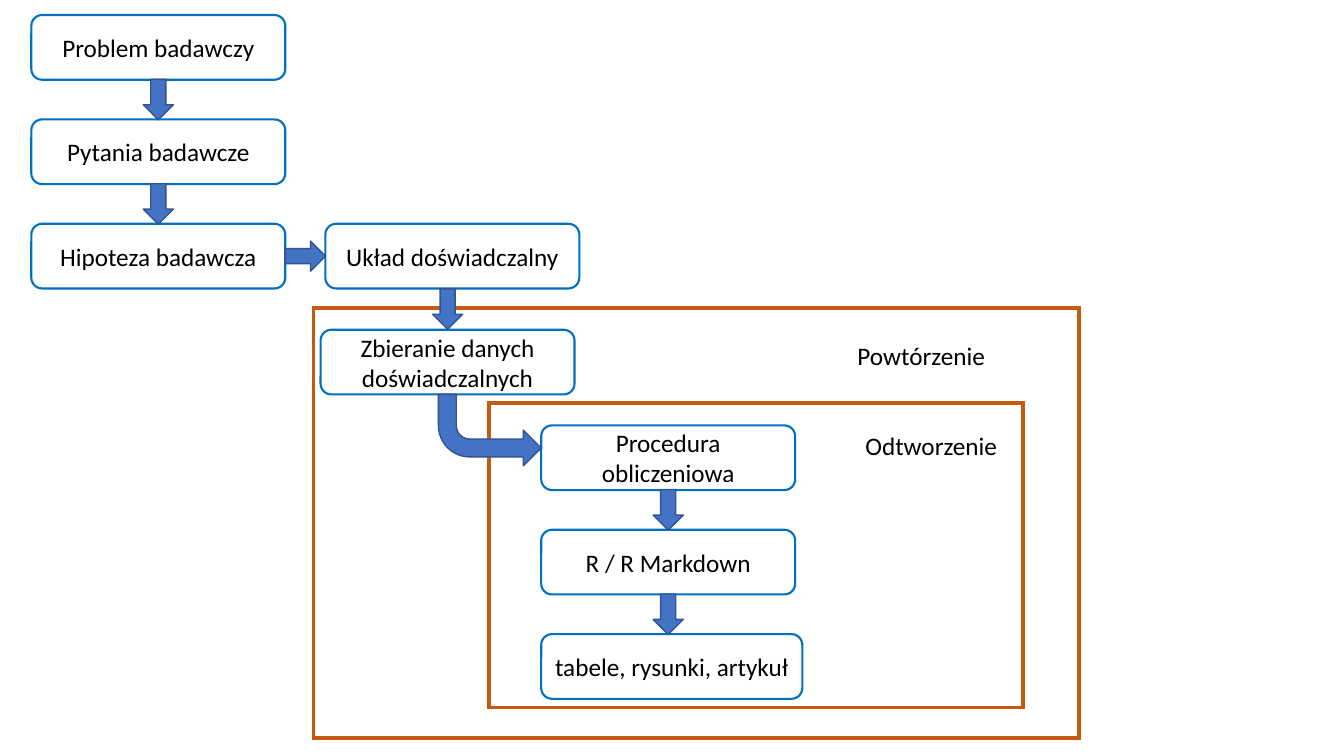
from dataclasses import dataclass

from lxml.etree import SubElement
from pptx import Presentation
from pptx.dml.color import RGBColor
from pptx.enum.shapes import MSO_SHAPE as Shape
from pptx.enum.text import MSO_ANCHOR as Anchor, MSO_AUTO_SIZE as AutoSize, PP_ALIGN as Align
from pptx.oxml.ns import qn
from pptx.util import Cm, Pt

BOX_W, BOX_H = 6.4, 1.63
STEP = 2.63
ARROW_W, ARROW_H = 1.02, 0.76
WHITE, BLACK = "FFFFFF", "000000"
BOX_LINE, FRAME_LINE = "0070C0", "C55A11"
ARROW_FILL, ARROW_LINE = "4472C4", "325491"


@dataclass(frozen=True)
class Step:
    text: str
    left: float
    top: float
    width: float = BOX_W


@dataclass(frozen=True)
class Frame:
    left: float
    top: float
    width: float
    height: float


@dataclass(frozen=True)
class Label:
    text: str
    left: float
    top: float
    width: float


def column(texts: list[str], left: float, top: float) -> list[Step]:
    return [Step(text, left, top + i * STEP) for i, text in enumerate(texts)]


def color(value: str) -> RGBColor:
    return RGBColor.from_string(value)


def format_text(tf) -> None:
    for r in tf.paragraphs[0].runs:
        r.font.name = "Calibri"
        r.font.size = Pt(18)
        r.font.color.rgb = color(BLACK)


def add_preset(s, kind, left: float, top: float, width: float, height: float,
               fill: str, line: str, weight: float):
    sp = s.shapes.add_shape(kind, Cm(left), Cm(top), Cm(width), Cm(height))
    sp.shadow.inherit = False
    sp.fill.solid()
    sp.fill.fore_color.rgb = color(fill)
    sp.line.color.rgb = color(line)
    sp.line.width = Pt(weight)
    return sp


def add_frame(s, frame: Frame) -> None:
    table = s.shapes.add_table(1, 1, Cm(frame.left), Cm(frame.top),
                               Cm(frame.width), Cm(frame.height)).table
    table.first_row = False
    table.horz_banding = False
    cell = table.cell(0, 0)
    tc_pr = cell._tc.get_or_add_tcPr()
    for side in ("a:lnL", "a:lnR", "a:lnT", "a:lnB"):
        ln = SubElement(tc_pr, qn(side), w=str(Pt(3)))
        SubElement(SubElement(ln, qn("a:solidFill")), qn("a:srgbClr"), val=FRAME_LINE)
    cell.fill.background()


def add_step(s, step: Step) -> None:
    sp = add_preset(s, Shape.ROUNDED_RECTANGLE, step.left, step.top, step.width, BOX_H,
                    WHITE, BOX_LINE, 1.5)
    tf = sp.text_frame
    tf.text = step.text
    tf.word_wrap = True
    tf.vertical_anchor = Anchor.MIDDLE
    tf.paragraphs[0].alignment = Align.CENTER
    format_text(tf)


def add_arrow(s, start: Step, end: Step) -> None:
    across = start.top == end.top
    if across:
        x = (start.left + start.width + end.left) / 2
        y = start.top + BOX_H / 2
    else:
        x = end.left + BOX_W / 2
        y = (start.top + BOX_H + end.top) / 2
    sp = add_preset(s, Shape.RIGHT_ARROW, x - ARROW_W / 2, y - ARROW_H / 2,
                    ARROW_W, ARROW_H, ARROW_FILL, ARROW_LINE, 1)
    sp.rotation = 0 if across else 90


def add_bent_arrow(s, start: Step, end: Step) -> None:
    left, top = 11.05, start.top + BOX_H
    sp = add_preset(s, Shape.BENT_ARROW, left, top, end.left - left, 1.8,
                    ARROW_FILL, ARROW_LINE, 1)
    sp._element.spPr.xfrm.set("flipV", "1")


def add_label(s, label: Label) -> None:
    sp = s.shapes.add_textbox(Cm(label.left), Cm(label.top), Cm(label.width), Cm(1.03))
    tf = sp.text_frame
    tf.text = label.text
    tf.word_wrap = False
    tf.auto_size = AutoSize.SHAPE_TO_FIT_TEXT
    format_text(tf)


def main() -> None:
    prs = Presentation()
    prs.slide_width, prs.slide_height = Cm(33.87), Cm(19.05)
    s = prs.slides.add_slide(prs.slide_layouts[6])

    problem, questions, hypothesis = column(
        ["Problem badawczy", "Pytania badawcze", "Hipoteza badawcza"], 0.79, 0.38)
    design = Step("Układ doświadczalny", 8.2, hypothesis.top)
    collection = Step("Zbieranie danych doświadczalnych", 8.08, 8.31)
    procedure, markdown = column(["Procedura obliczeniowa", "R / R Markdown"], 13.64, 10.72)
    results = Step("tabele, rysunki, artykuł", markdown.left, markdown.top + STEP, 6.58)

    reproduction = Frame(12.32, 10.16, 13.46, 7.67)
    replication = Frame(7.9, 7.77, 19.3, 10.82)
    for frame in (reproduction, replication):
        add_frame(s, frame)

    flow = [problem, questions, hypothesis, design, collection, procedure, markdown, results]
    for step in flow:
        add_step(s, step)
    for start, end in zip(flow, flow[1:]):
        if start is collection:
            add_bent_arrow(s, start, end)
        else:
            add_arrow(s, start, end)

    for label in (Label("Powtórzenie", 21.36, 8.46, 3.76),
                  Label("Odtworzenie", 21.56, 10.72, 3.86)):
        add_label(s, label)

    prs.save("out.pptx")


if __name__ == "__main__":
    main()
